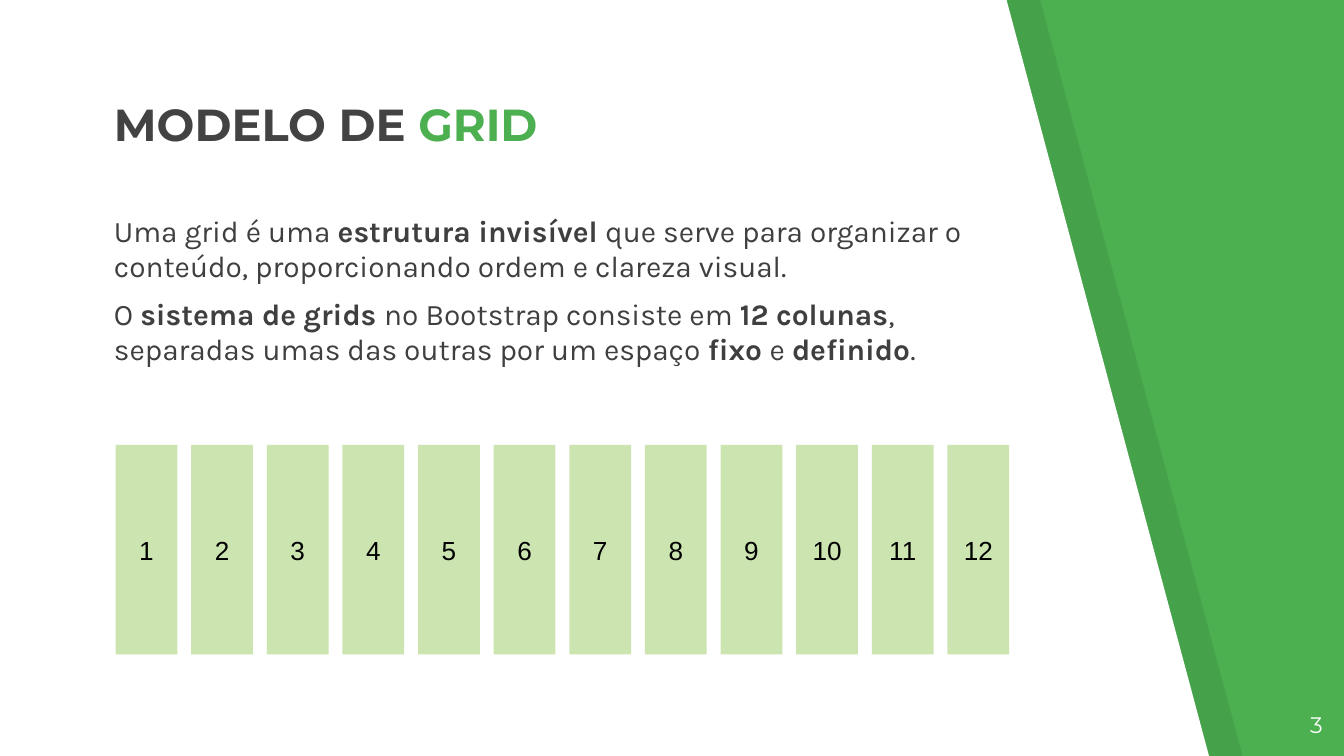
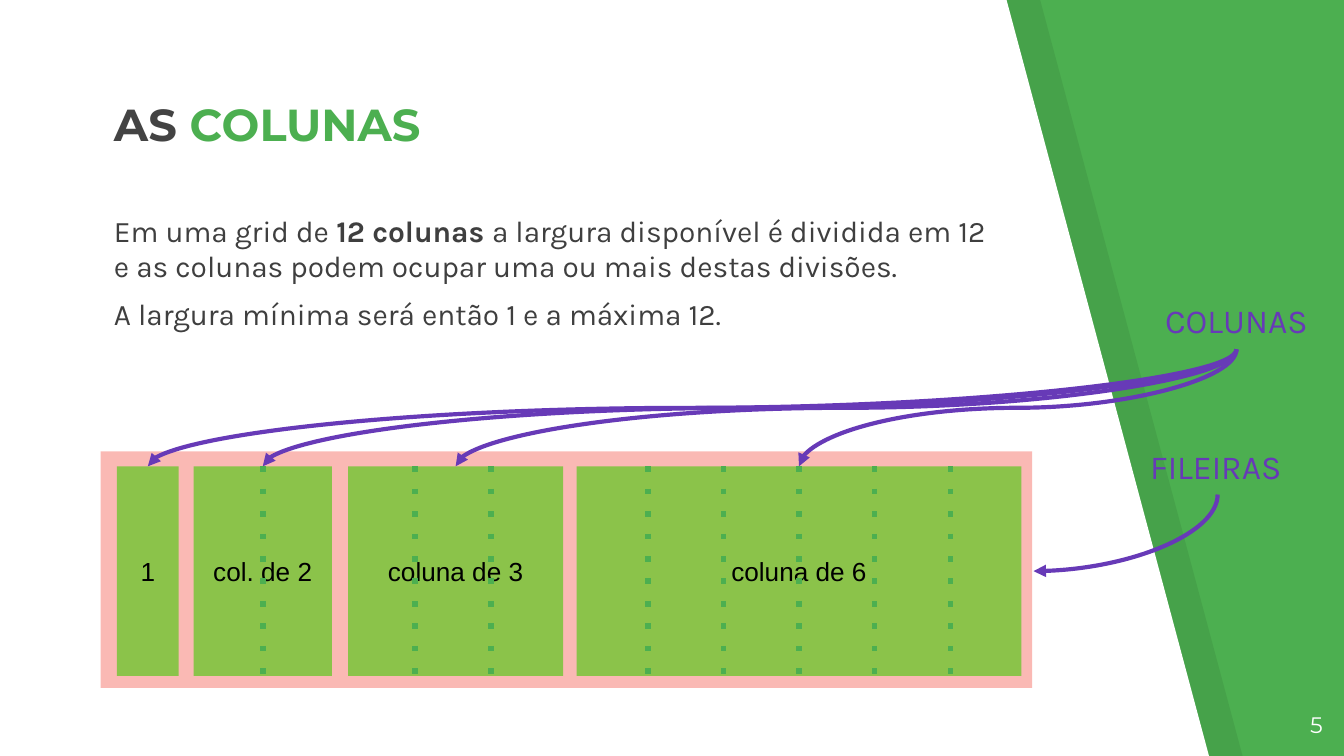
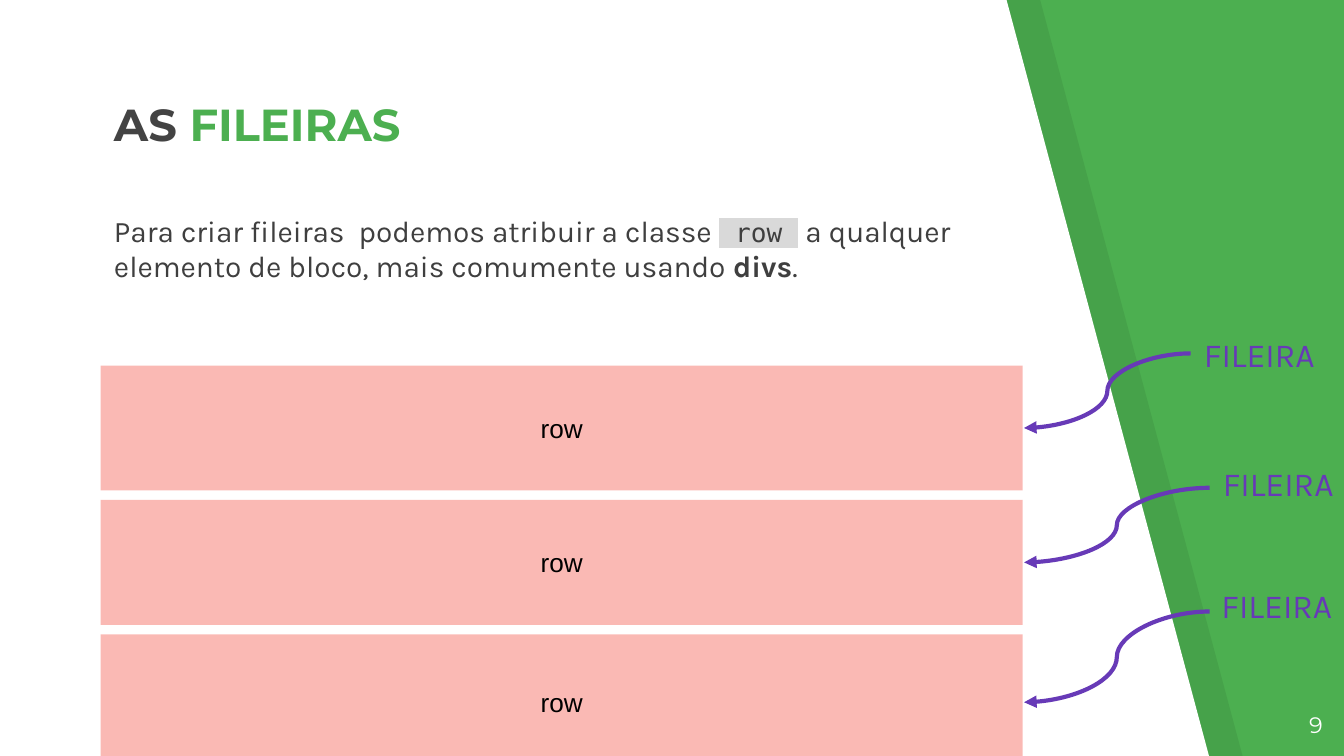
from lxml import etree
from pptx import Presentation
from pptx import util as u
from pptx.dml.color import RGBColor
from pptx.enum import dml, shapes, text
from pptx.oxml.ns import qn

GREEN = RGBColor(0x4C, 0xAF, 0x50)
LIME = RGBColor(0x8B, 0xC3, 0x4A)
RED = RGBColor(0xF4, 0x43, 0x36)
PURPLE = RGBColor(0x67, 0x3A, 0xB7)
DARK = RGBColor(0x43, 0x43, 0x43)
BODY = RGBColor(0x3F, 0x3F, 0x3F)
GREY = RGBColor(0xD9, 0xD9, 0xD9)
BLACK = RGBColor(0, 0, 0)
WHITE = RGBColor(255, 255, 255)

# Text styles: font attributes, colour and optional highlight
STYLES = {
    "title": (dict(name="Montserrat", size=u.Pt(24), bold=True), DARK, None),
    "accent": (dict(name="Montserrat", size=u.Pt(24), bold=True), GREEN, None),
    "plain": (dict(name="Karla", size=u.Pt(16)), BODY, None),
    "bold": (dict(name="Karla", size=u.Pt(16), bold=True), BODY, None),
    "code": (dict(name="DejaVu Sans Mono", size=u.Pt(14)), BODY, GREY),
    "number": (dict(name="Montserrat", size=u.Pt(12)), WHITE, None),
    "block": (dict(name="Arial", size=u.Pt(14)), BLACK, None),
    "label": (dict(name="Karla", size=u.Pt(18)), PURPLE, None),
}

# Content
GRID_TEXT = [
    [("Uma grid é uma ", "plain"), ("estrutura invisível ", "bold"),
     ("que serve para organizar o conteúdo, proporcionando ordem e clareza visual.", "plain")],
    [("O ", "plain"), ("sistema de grids ", "bold"), ("no Bootstrap consiste em ", "plain"),
     ("12 colunas", "bold"), (", separadas umas das outras por um espaço ", "plain"),
     ("fixo ", "bold"), ("e ", "plain"), ("definido", "bold"), (".", "plain")],
]
COLUMNS_TEXT = [
    [("Em uma grid de ", "plain"), ("12 colunas ", "bold"),
     ("a largura disponível é dividida em 12 e as colunas podem ocupar "
      "uma ou mais destas divisões.", "plain")],
    [("A largura mínima será então 1 e a máxima 12.", "plain")],
]
ROWS_TEXT = [
    [("Para criar fileiras  podemos atribuir a classe ", "plain"), (" row ", "code"),
     (" a qualquer elemento de bloco, mais comumente usando ", "plain"),
     ("divs", "bold"), (".", "plain")],
]
# Caption, columns spanned, left, width, first divider
COLUMNS = [
    ("1", 1, 0.87, 0.46, None),
    ("col. de 2", 2, 1.44, 1.03, 1.96),
    ("coluna de 3", 3, 2.59, 1.6, 3.09),
    ("coluna de 6", 6, 4.29, 3.31, 4.82),
]
# Row height, label place, arrow start
ROWS = [
    (0.93, (8.86, 2.42), (8.86, 2.63)),
    (0.93, (9, 3.38), (9, 3.63)),
    (1.01, (8.99, 4.29), (9, 4.55)),
]
GRID_COUNT, GRID_LEFT, GRID_RIGHT, UNIT_WIDTH = 12, 0.86, 7.51, 0.46
PITCH = (GRID_RIGHT - GRID_LEFT - UNIT_WIDTH) / (GRID_COUNT - 1)
COLUMN_HEIGHT = 1.56
BANDS = [(0.25, BLACK, 7), (0, WHITE, 100)]


def inches(*values):
    return [u.Inches(value) for value in values]


def paint(shape, color, opacity=100):
    shape.shadow.inherit = False
    shape.fill.solid()
    shape.fill.fore_color.rgb = color
    shape.line.fill.background()
    if opacity < 100:
        tint = shape._element.spPr.find(".//" + qn("a:srgbClr"))
        etree.SubElement(tint, qn("a:alpha"), val=str(opacity * 1000))


def write(shape, paragraphs, align="LEFT", anchor="TOP"):
    frame = shape.text_frame
    settings = dict(word_wrap=True, vertical_anchor=getattr(text.MSO_ANCHOR, anchor))
    for side in ("left", "top", "right", "bottom"):
        settings["margin_" + side] = u.Inches(0.1)
    for key, value in settings.items():
        setattr(frame, key, value)
    for index, spans in enumerate(paragraphs):
        para = frame.add_paragraph() if index else frame.paragraphs[0]
        para.alignment = getattr(text.PP_ALIGN, align)
        if index:
            para.space_before = u.Pt(6)
        for words, style in spans:
            span = para.add_run()
            span.text = words
            values, color, highlight = STYLES[style]
            for key, value in values.items():
                setattr(span.font, key, value)
            span.font.color.rgb = color
            if highlight is not None:
                mark = etree.Element(qn("a:highlight"))
                etree.SubElement(mark, qn("a:srgbClr"), val=str(highlight))
                span._r.rPr.find(qn("a:latin")).addprevious(mark)


def add_text(page, place, paragraphs, **layout):
    write(page.shapes.add_textbox(*inches(*place)), paragraphs, **layout)


def add_label(page, place, words, align="LEFT"):
    add_text(page, place, [[(words, "label")]], align=align, anchor="MIDDLE")


def add_block(page, place, color, opacity=100, caption=None):
    block = page.shapes.add_shape(shapes.MSO_SHAPE.RECTANGLE, *inches(*place))
    paint(block, color, opacity)
    if caption:
        write(block, [[(caption, "block")]], align="CENTER", anchor="MIDDLE")
    return block


def add_line(page, kind, start, end, color, width):
    line = page.shapes.add_connector(kind, *inches(*start, *end))
    line.line.color.rgb = color
    line.line.width = u.Pt(width)
    etree.SubElement(line._element.spPr, qn("a:effectLst"))
    return line


def add_arrow(page, start, end):
    arrow = add_line(page, shapes.MSO_CONNECTOR.CURVE, start, end, PURPLE, 2.25)
    etree.SubElement(arrow.line._get_or_add_ln(), qn("a:tailEnd"), type="triangle")
    return arrow


def add_falling_arrow(page, start, end, bend="curvedConnector3"):
    """Curve that leaves downwards and ends to the lower left."""
    (x1, y1), (x2, y2) = start, end
    across, down = x1 - x2, y2 - y1
    middle_x, middle_y = (x1 + x2) / 2, (y1 + y2) / 2
    left, top = middle_x - down / 2, middle_y - across / 2
    arrow = add_arrow(page, (left, top), (left + down, top + across))
    properties = arrow._element.spPr
    properties.find(qn("a:xfrm")).set("rot", str(90 * 60000))
    properties.find(qn("a:prstGeom")).set("prst", bend)


def add_page(deck, number, title, accent, body):
    page = deck.slides.add_slide(deck.slide_layouts[6])
    # Slanted bands
    for shift, color, opacity in BANDS:
        corners = [(0, -0.01), (0, 5.64), (9, 5.64), (7.49, 0)]
        points = [inches(x + shift, y) for x, y in corners]
        outline = page.shapes.build_freeform(*points[0], scale=1.0)
        outline.add_line_segments(points[1:], close=True)
        paint(outline.convert_to_shape(), color, opacity)
    # Title, body and page number
    add_text(page, (0.75, 0.77, 6.73, 0.45), [[(title, "title"), (accent, "accent")]],
             anchor="BOTTOM")
    add_text(page, (0.75, 1.48, 6.73, 3.55), body)
    add_text(page, (9.34, 5.19, 0.6, 0.43), [[(number, "number")]], align="RIGHT")
    return page


def build_grid(deck):
    page = add_page(deck, "3", "MODELO DE ", "GRID", GRID_TEXT)
    for index in range(GRID_COUNT):
        place = (GRID_LEFT + index * PITCH, 3.31, UNIT_WIDTH, COLUMN_HEIGHT)
        add_block(page, place, LIME, 43, str(index + 1))


def build_columns(deck):
    page = add_page(deck, "5", "AS", " COLUNAS", COLUMNS_TEXT)
    top = 3.47
    add_block(page, (0.75, 3.36, 6.93, 1.76), RED, 37)
    for caption, count, left, width, first in COLUMNS:
        block = add_block(page, (left, top, width, COLUMN_HEIGHT), LIME, caption=caption)
        add_falling_arrow(page, (9.2, 2.6), (left + width / 2, top))
        # Dotted dividers between the units of the column
        for step in range(count - 1):
            x = first + step * PITCH
            divider = add_line(page, shapes.MSO_CONNECTOR.STRAIGHT, (x, top),
                               (x, top + COLUMN_HEIGHT), GREEN, 3)
            divider.line.dash_style = dml.MSO_LINE.SQUARE_DOT
            divider.line._get_or_add_ln().find(qn("a:prstDash")).set("val", "dot")
            if 2 * (step + 1) == count:
                divider.begin_connect(block, 0)
                divider.end_connect(block, 2)
    add_label(page, (8.4, 2.17, 1.6, 0.43), "COLUNAS", "CENTER")
    add_label(page, (8.46, 3.25, 1.19, 0.43), "FILEIRAS")
    add_falling_arrow(page, (9.06, 3.68), (7.69, 4.25), "curvedConnector2")


def build_rows(deck):
    page = add_page(deck, "9", "AS ", "FILEIRAS", ROWS_TEXT)
    for index, (height, label, start) in enumerate(ROWS):
        top = 2.72 + index
        add_block(page, (0.75, top, 6.86, height), RED, 37, "row")
        add_label(page, (*label, 1.13, 0.43), "FILEIRA")
        add_arrow(page, start, (7.62, top + height / 2))


def main():
    deck = Presentation()
    deck.slide_width = u.Inches(10)
    deck.slide_height = deck.slide_width * 9 // 16
    background = deck.slide_master.background.fill
    background.solid()
    background.fore_color.rgb = GREEN
    for build in (build_grid, build_columns, build_rows):
        build(deck)
    deck.save("out.pptx")


if __name__ == "__main__":
    main()
